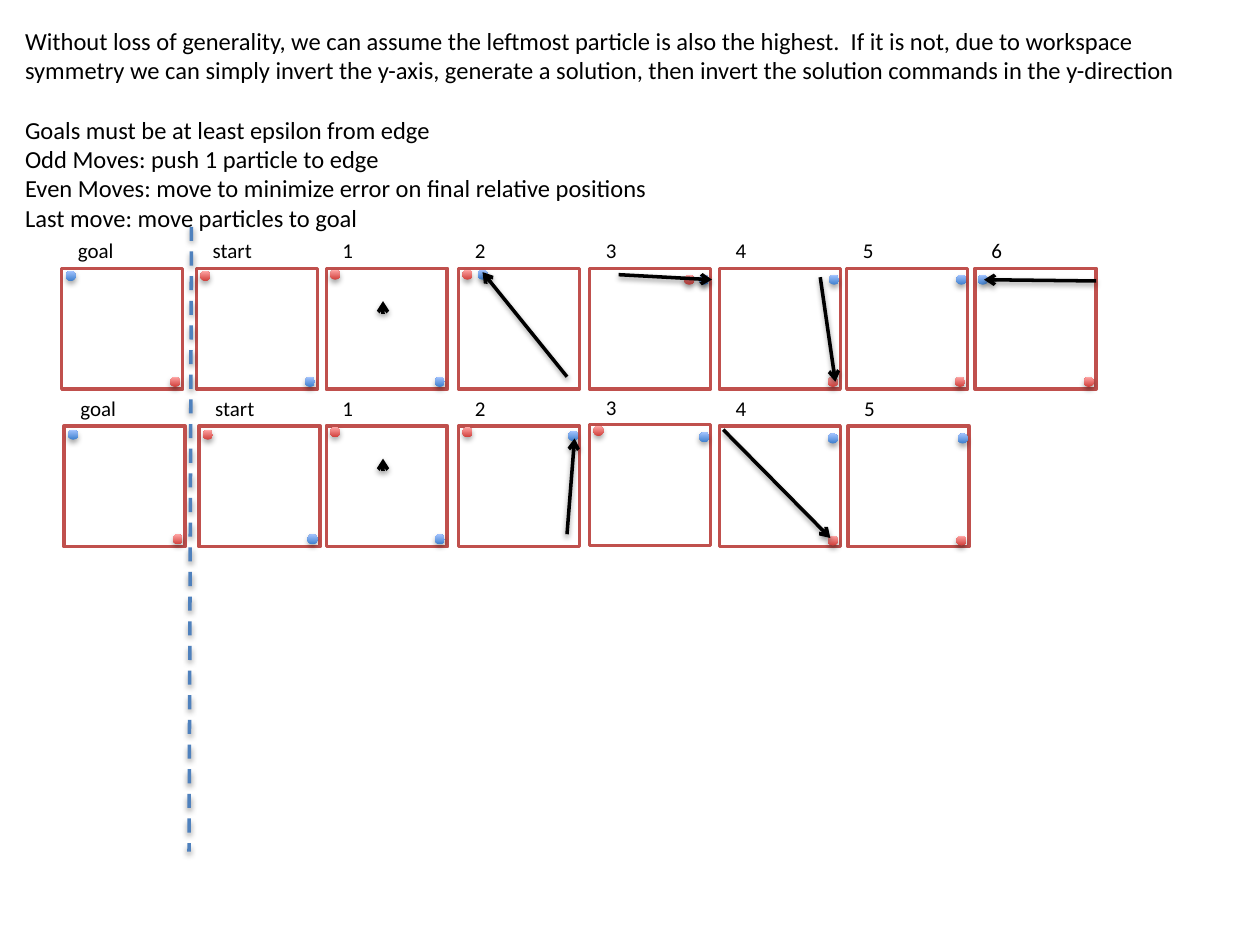
from dataclasses import dataclass

from lxml.etree import SubElement
from pptx import Presentation
from pptx.dml.color import RGBColor
from pptx.enum.dml import MSO_LINE
from pptx.enum.shapes import MSO_CONNECTOR, MSO_SHAPE
from pptx.enum.text import MSO_ANCHOR
from pptx.oxml.ns import qn
from pptx.util import Inches, Pt


@dataclass(frozen=True)
class Theme:
    font: str = "Calibri"
    body: int = 14
    label: int = 12
    stroke: int = 2
    ink: str = "000000"
    paper: str = "FFFFFF"
    frame: str = "C0504D"
    rule: str = "4F81BD"
    red: tuple = ("D1403C", "FFA6A5")
    blue: tuple = ("3F80CE", "A4C4FF")


THEME = Theme()
COLS, ROWS = 100, 75  # square grid cells across and down the slide
SIDE, DOT = 9.6, 0.8  # panel and particle sizes in cells

# Particle spots and moves, in cells from a panel's top left corner
NW, SE = (0.3, 0.2), (8.6, 8.6)
TOP, NE, EAST = (0.3, 0.1), (8.7, 0.5), (8.7, 0.6)
NUDGE = ((4.5, 3.6), (4.5, 2.6))

# Each panel: label, column, drop, red spot, blue spot, move
FIRST = [
    ("goal", 4.9, 0, SE, NW, None),
    ("start", 15.6, 0, NW, SE, None),
    ("1", 25.9, 0, TOP, SE, NUDGE),
    ("2", 36.4, 0, TOP, (1.5, 0.1), ((8.6, 8.6), (1.9, 0.3))),
    ("3", 46.8, 0, (7.5, 0.5), NE, ((2.3, 0.5), (9.7, 0.9))),
    ("4", 57.1, 0, SE, NE, ((8, 0.7), (9.2, 9))),
    ("5", 67.2, 0, SE, NE, None),
    ("6", 77.4, 0, SE, (0.2, 0.5), ((9.6, 1), (0.7, 0.9))),
]
SECOND = [
    ("goal", 5.1, 0, SE, (0.3, 0.3), None),
    ("start", 15.8, 0, (0.3, 0.3), SE, None),
    ("1", 25.9, 0, TOP, SE, NUDGE),
    ("2", 36.4, 0, TOP, (8.7, 0.4), ((8.6, 8.6), (9.2, 1))),
    ("3", 46.8, -0.1, TOP, EAST, None),
    ("4", 57.1, 0, (8.6, 8.7), (8.6, 0.6), ((0.3, 0.3), (8.8, 8.9))),
    ("5", 67.3, 0, (8.6, 8.7), EAST, None),
]

NOTES = [
    ["Without loss of generality, we can assume the leftmost particle is also "
     "the highest.  If it is not, due to workspace symmetry we can simply "
     "invert the y-axis, generate a solution, then invert the solution "
     "commands in the y-direction"],
    ["Goals must be at least epsilon from edge",
     "Odd Moves: push 1 particle to edge",
     "Even Moves: move to minimize error on final relative positions",
     "Last move: move particles to goal"],
]


def cells(*counts):
    return [Inches(count / 10) for count in counts]


def paint(code):
    return RGBColor.from_string(code)


def shade(props, alpha, drop):
    """Give shape properties a soft shadow straight below."""
    effect = props.find(qn("a:effectLst"))
    if effect is None:
        effect = SubElement(props, qn("a:effectLst"))
    outer = SubElement(effect, qn("a:outerShdw"), blurRad=str(Pt(3.1)),
                       dist=str(Pt(drop)), dir="5400000", rotWithShape="0")
    color = SubElement(outer, qn("a:srgbClr"), val=THEME.ink)
    SubElement(color, qn("a:alpha"), val=str(alpha * 1000))


def write(para, words, size):
    run = para.add_run()
    run.text = words
    run.font.name = THEME.font
    run.font.size = Pt(size)
    run.font.color.rgb = paint(THEME.ink)


def stroke(slide, start, end, color):
    line = slide.shapes.add_connector(MSO_CONNECTOR.STRAIGHT, *cells(*start, *end))
    line.line.color.rgb = paint(color)
    line.line.width = Pt(THEME.stroke)
    shade(line.element.spPr, 38, 1.6)
    return line


def arrow(slide, start, end):
    line = stroke(slide, start, end, THEME.ink)
    SubElement(line.element.spPr.find(qn("a:ln")), qn("a:tailEnd"), type="arrow")


def dot(group, left, top, colors):
    ball = group.shapes.add_shape(MSO_SHAPE.OVAL, *cells(left, top, DOT, DOT))
    ball.fill.gradient()
    ball.fill.gradient_angle = 90
    for stop, color in zip(ball.fill.gradient_stops, colors):
        stop.color.rgb = paint(color)
    ball.line.fill.background()
    ball.shadow.inherit = False
    shade(ball.element.spPr, 35, 1.8)


def panel(slide, left, top, label, red, blue, move):
    def place(spot):
        return left + spot[0], top + spot[1]

    group = slide.shapes.add_group_shape()
    frame = group.shapes.add_shape(MSO_SHAPE.RECTANGLE, *cells(left, top, SIDE, SIDE))
    frame.fill.solid()
    frame.fill.fore_color.rgb = paint(THEME.paper)
    frame.line.color.rgb = paint(THEME.frame)
    frame.line.width = Pt(THEME.stroke)
    frame.shadow.inherit = False
    dot(group, *place(red), THEME.red)
    dot(group, *place(blue), THEME.blue)
    text = group.shapes.add_textbox(*cells(left + 0.3, top - 2.9, 8.3, 3)).text_frame
    text.word_wrap = True
    write(text.paragraphs[0], label, THEME.label)
    if move:
        arrow(slide, *map(place, move))


def series(slide, top, steps):
    for label, left, drop, red, blue, move in steps:
        panel(slide, left, top + drop, label, red, blue, move)


def notes(slide, *box):
    text = slide.shapes.add_textbox(*cells(*box)).text_frame
    text.word_wrap = True
    text.vertical_anchor = MSO_ANCHOR.MIDDLE
    for index, lines in enumerate(NOTES):
        para = text.add_paragraph() if index else text.paragraphs[0]
        para.space_before = Pt(17 if index else 0)
        for row, words in enumerate(lines):
            if row:
                para.add_line_break()
            write(para, words, THEME.body)


def main():
    deck = Presentation()
    deck.slide_width, deck.slide_height = cells(COLS, ROWS)
    slide = deck.slides.add_slide(deck.slide_layouts[6])
    notes(slide, 1, 2.2, 97.9, 16.1)
    series(slide, 21.3, FIRST)
    rule = stroke(slide, (15.2, 18), (15, 67.6), THEME.rule)
    rule.line.dash_style = MSO_LINE.DASH
    series(slide, 33.8, SECOND)
    deck.save("out.pptx")


if __name__ == "__main__":
    main()
